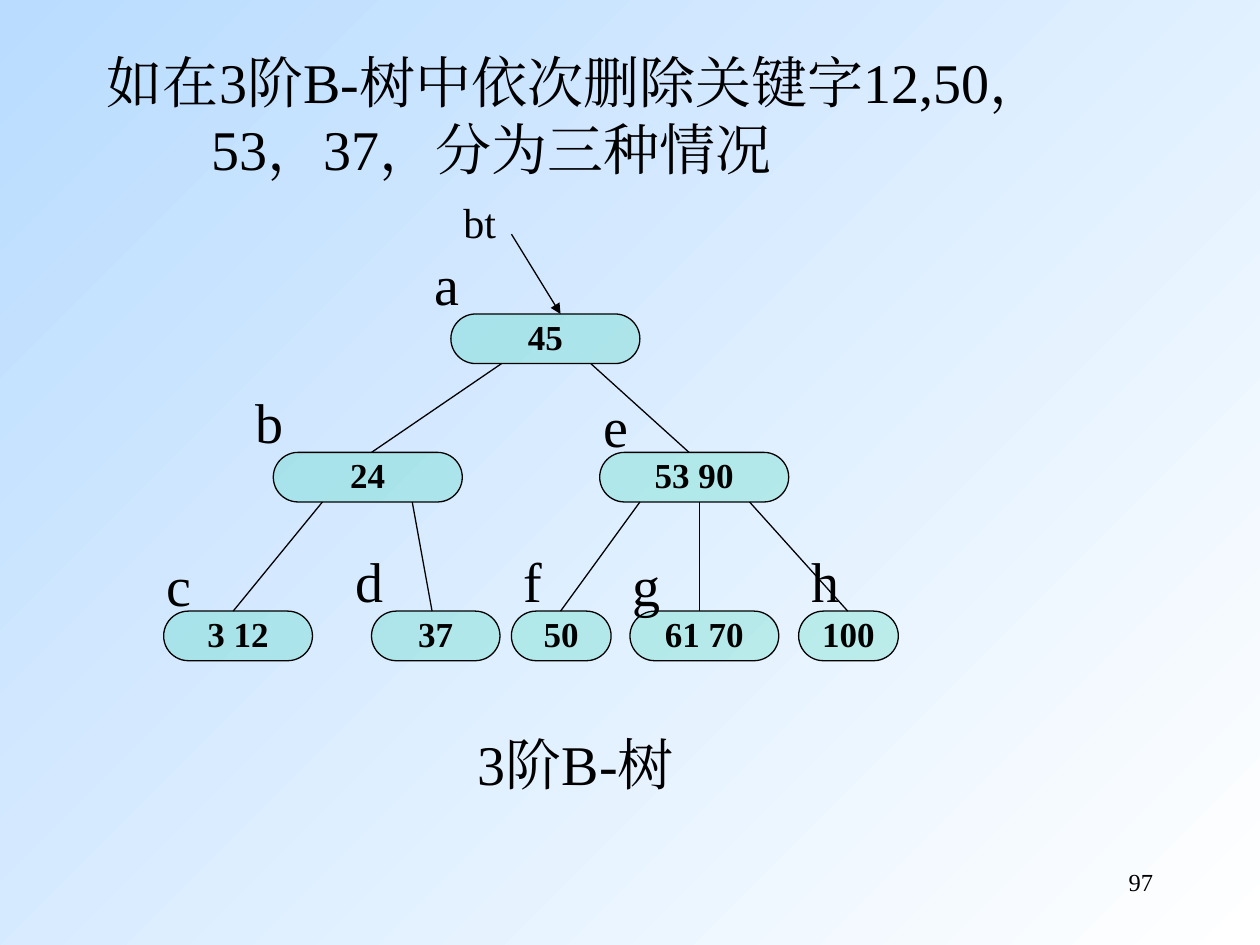
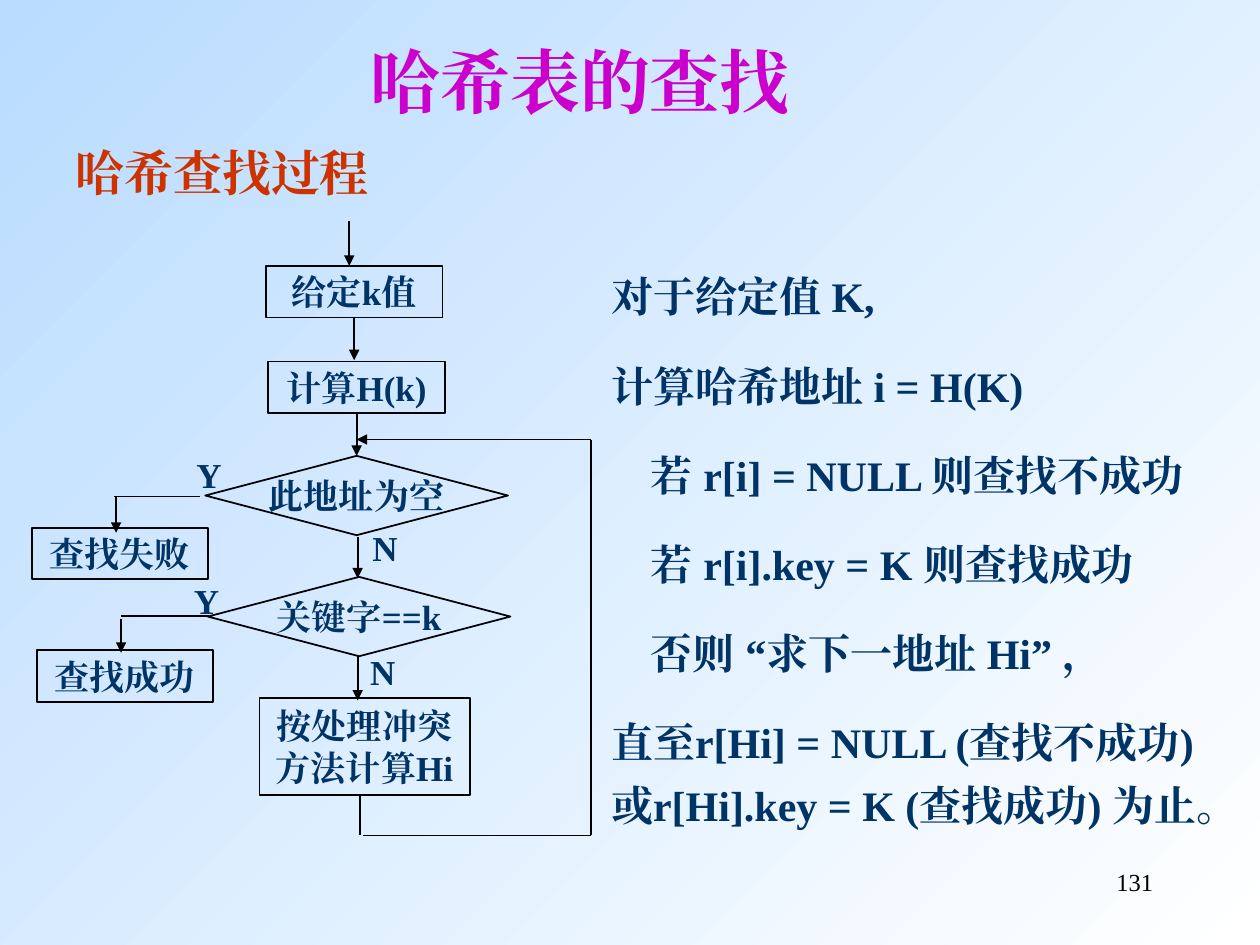
from lxml.etree import SubElement
from pptx import Presentation
from pptx.dml.color import RGBColor
from pptx.enum.lang import MSO_LANGUAGE_ID
from pptx.enum.shapes import MSO_CONNECTOR, MSO_SHAPE
from pptx.enum.text import MSO_ANCHOR, MSO_AUTO_SIZE, PP_ALIGN
from pptx.oxml.ns import qn
from pptx.util import Cm, Pt

FONT = "Times New Roman"
COLORS = {
    "sky": "B9DCFF",
    "white": "FFFFFF",
    "ink": "000000",
    "node": "00CC99",
    "navy": "003366",
    "plum": "CC00CC",
    "rust": "CC3300",
}
ROWS = [6.33, 9.12, 12.32]
NODE_H = 1.0
NODES = [
    ("a", "45", 0, 9.09, 3.81, 8.51, 5.05),
    ("b", "24", 1, 5.51, 3.81, 4.9, 7.85),
    ("e", "53 90", 1, 12.09, 3.81, 11.91, 7.92),
    ("c", "3 12", 2, 3.3, 3.0, 3.1, 11.13),
    ("d", "37", 2, 7.49, 2.59, 6.91, 11.05),
    ("f", "50", 2, 10.31, 2.01, 10.31, 11.05),
    ("g", "61 70", 2, 12.7, 3.0, 12.5, 11.13),
    ("h", "100", 2, 16.1, 2.01, 16.1, 11.05),
]
EDGES = [
    (0, 10.11, 7.49),
    (0, 11.91, 13.89),
    (1, 6.5, 4.7),
    (1, 8.31, 8.71),
    (1, 12.9, 11.3),
    (1, 14.1, 14.1),
    (1, 15.11, 17.09),
]
BOX = (3.56, 1.04)
TEST = (6.1, 1.6)
STEPS = [
    (["给定k值"], 5.36, 5.36, BOX),
    (["计算H(k)"], 5.41, 7.29, BOX),
    (["此地址为空"], 4.14, 9.19, TEST),
    (["关键字==k"], 4.19, 11.63, TEST),
    (["查找失败"], 0.64, 10.64, BOX),
    (["查找成功"], 0.74, 13.11, BOX),
    (["按处理冲突", "方法计算Hi"], 5.23, 14.07, (4.24, 1.96)),
]
ARROWS = [
    (7.04, 4.45, 7.04, 5.36),
    (7.14, 6.4, 7.14, 7.26),
    (7.19, 8.33, 7.19, 9.19),
    (7.21, 10.82, 7.21, 11.66),
    (7.21, 13.23, 7.21, 14.12),
    (2.34, 10.01, 2.34, 10.74),
    (2.44, 12.47, 2.44, 13.16),
    (11.91, 8.86, 7.19, 8.86),
]
LINKS = [
    (4.04, 10.01, 2.29, 10.01),
    (4.22, 12.42, 2.44, 12.42),
    (7.26, 16.03, 7.26, 16.84),
    (7.32, 16.84, 11.91, 16.84),
    (11.91, 16.84, 11.91, 8.86),
]
TAGS = [
    ("Y", 3.71, 9.02),
    ("N", 7.26, 10.49),
    ("Y", 3.66, 11.56),
    ("N", 7.21, 12.98),
]
NOTES = [
    ("对于给定值 K,", 0),
    ("计算哈希地址 i = H(K)", 0),
    ("若 r[i] = NULL 则查找不成功", 0.8),
    ("若 r[i].key = K 则查找成功", 0.8),
    ("否则 “求下一地址 Hi” ，", 0.8),
    ("直至r[Hi] = NULL (查找不成功) 或r[Hi].key = K (查找成功) 为止。", 0),
]


def rgb(name):
    return RGBColor.from_string(COLORS[name])


def write(para, text, size, color="ink", bold=False, align=PP_ALIGN.LEFT):
    para.alignment = align
    run = para.add_run()
    run.text = text
    font = run.font
    font.name, font.size, font.bold = FONT, Pt(size), bold
    font.color.rgb = rgb(color)
    font.language_id = MSO_LANGUAGE_ID.SIMPLIFIED_CHINESE
    SubElement(run._r.get_or_add_rPr(), qn("a:ea"), typeface=FONT)


def indent(para, left, first=0):
    props = para._p.get_or_add_pPr()
    props.set("marL", str(Cm(left)))
    props.set("indent", str(Cm(first)))


def setup(frame, wrap=True, anchor=MSO_ANCHOR.TOP):
    frame.auto_size = MSO_AUTO_SIZE.NONE
    frame.word_wrap = wrap
    frame.vertical_anchor = anchor
    return frame


def frame_at(slide, x, y, w, h):
    box = slide.shapes.add_textbox(Cm(x), Cm(y), Cm(w), Cm(h))
    return setup(box.text_frame)


def label(slide, text, x, y, w, h, size, color="ink", bold=False,
          align=PP_ALIGN.LEFT, gap=1.0):
    para = frame_at(slide, x, y, w, h).paragraphs[0]
    para.line_spacing = gap
    write(para, text, size, color, bold, align)


def title(slide, text, place, size, color="ink", bold=False, hang=0,
          anchor=MSO_ANCHOR.TOP):
    head = slide.shapes.title
    head.left, head.top, head.width, head.height = map(Cm, place)
    para = setup(head.text_frame, anchor=anchor).paragraphs[0]
    indent(para, hang, -hang)
    write(para, text, size, color, bold)


def shape(slide, kind, lines, x, y, w, h, color, width, gap=1.0):
    item = slide.shapes.add_shape(kind, Cm(x), Cm(y), Cm(w), Cm(h))
    item.shadow.inherit = False
    item.fill.background()
    item.line.color.rgb = rgb("ink")
    item.line.width = Pt(width)
    frame = setup(item.text_frame, False, MSO_ANCHOR.MIDDLE)
    for i, text in enumerate(lines):
        para = frame.add_paragraph() if i else frame.paragraphs[0]
        para.line_spacing = gap
        write(para, text, 20, color, True, PP_ALIGN.CENTER)
    return item


def node(slide, keys, x, y, w):
    item = shape(slide, MSO_SHAPE.ROUNDED_RECTANGLE, [keys], x, y, w, NODE_H,
                 "ink", 0.75, 0.9)
    item.adjustments[0] = 0.5
    item.fill.solid()
    item.fill.fore_color.rgb = rgb("node")
    tint = item._element.spPr.find(qn("a:solidFill")).find(qn("a:srgbClr"))
    SubElement(tint, qn("a:alpha"), val="20000")


def line(slide, ends, width, arrow=False):
    item = slide.shapes.add_connector(MSO_CONNECTOR.STRAIGHT, *map(Cm, ends))
    item.line.color.rgb = rgb("ink")
    item.line.width = Pt(width)
    props = item._element.spPr
    if arrow:
        SubElement(props.find(qn("a:ln")), qn("a:tailEnd"), type="triangle")
    SubElement(props, qn("a:effectLst"))


def number(slide, text):
    label(slide, text, 18.2, 17.35, 5.3, 1.27, 14, align=PP_ALIGN.RIGHT)


def backdrop(deck):
    fill = deck.slide_master.background.fill
    fill.gradient()
    fill.gradient_angle = 315
    for stop, pos, name in zip(fill.gradient_stops, (0, 1), ("sky", "white")):
        stop.position = pos
        stop.color.rgb = rgb(name)


def tree(slide):
    title(slide, "如在3阶B-树中依次删除关键字12,50，53，37，分为三种情况",
          (1.9, 1.7, 21.6, 1.22), 32, hang=2.11, anchor=MSO_ANCHOR.MIDDLE)
    for name, keys, row, x, w, left, top in NODES:
        node(slide, keys, x, ROWS[row], w)
        label(slide, name, left, top, 1, 1.47, 32, gap=0.9)
    for row, start, end in EDGES:
        line(slide, (start, ROWS[row] + NODE_H, end, ROWS[row + 1]), 0.75)
    label(slide, "bt", 9.09, 3.96, 1.6, 1.17, 24, gap=0.9)
    line(slide, (10.31, 4.72, 11.3, ROWS[0]), 0.75, True)
    label(slide, "3阶B-树", 6.91, 14.73, 9.4, 1.47, 32,
          align=PP_ALIGN.CENTER, gap=0.9)
    number(slide, "97")


def notes(slide):
    frame = frame_at(slide, 12.07, 5.08, 12.5, 13.5)
    for i, (text, left) in enumerate(NOTES):
        para = frame.add_paragraph() if i else frame.paragraphs[0]
        indent(para, left)
        para.line_spacing = 1.25
        para.space_before = Pt(15 if i else 0)
        write(para, text, 24, "navy", True)


def search(slide):
    title(slide, "哈希表的查找", (7.21, 0.64, 8.97, 1.96), 40, "plum", True)
    label(slide, "哈希查找过程", 1.27, 2.74, 7, 1.47, 28, "rust", True)
    for lines, x, y, size in STEPS:
        kind = (MSO_SHAPE.FLOWCHART_DECISION if size == TEST
                else MSO_SHAPE.FLOWCHART_PROCESS)
        shape(slide, kind, lines, x, y, *size, "navy", 1)
    for ends in ARROWS:
        line(slide, ends, 1, True)
    for ends in LINKS:
        line(slide, ends, 1)
    for text, x, y in TAGS:
        label(slide, text, x, y, 1.02, 1.12, 20, "navy", True)
    notes(slide)
    number(slide, "131")


def main():
    deck = Presentation()
    deck.slide_width, deck.slide_height = Cm(25.4), Cm(19.05)
    backdrop(deck)
    for draw in (tree, search):
        draw(deck.slides.add_slide(deck.slide_layouts[5]))
    deck.save("out.pptx")


if __name__ == "__main__":
    main()
